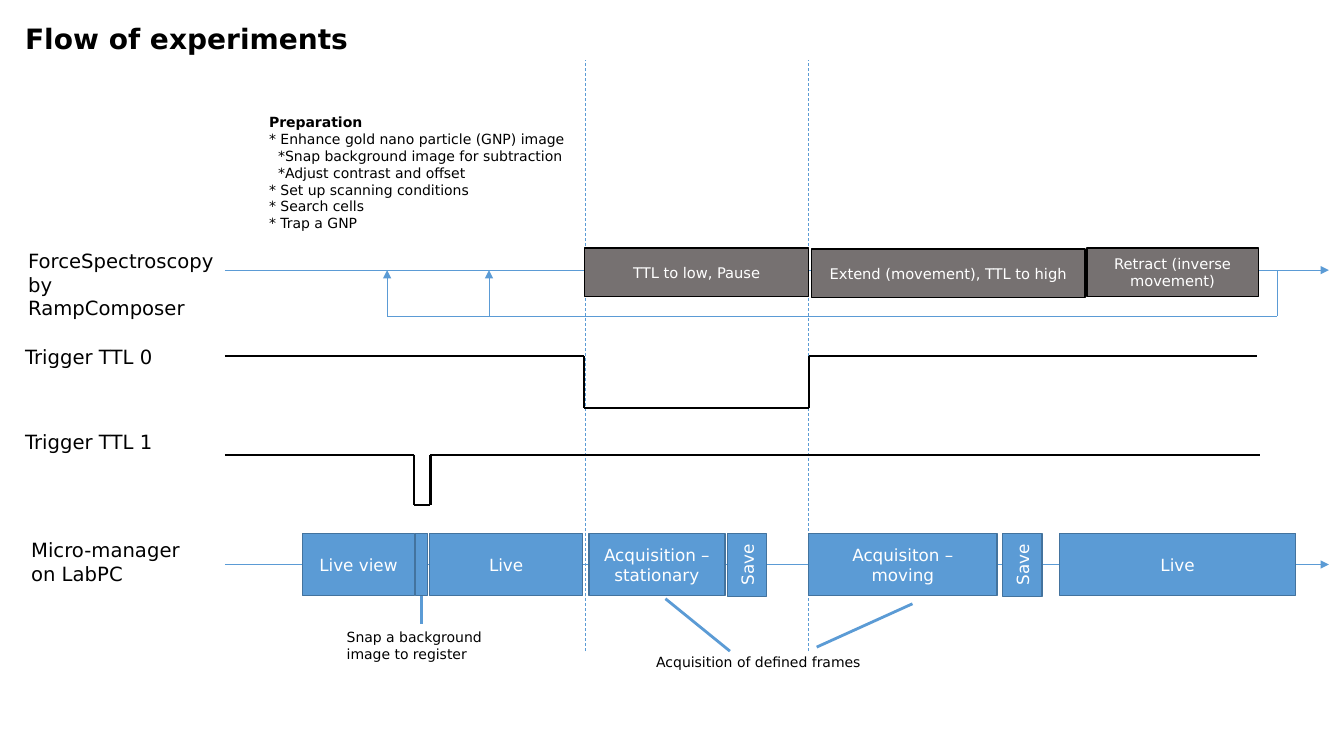
import itertools

import pptx
import pptx.dml.color
import pptx.enum.dml
import pptx.enum.shapes
import pptx.enum.text
import pptx.oxml.ns
import pptx.util
from lxml import etree
from pptx.util import Inches

COLORS = {
    "text": "000000",
    "box text": "FFFFFF",
    "blue": "5B9BD5",
    "blue edge": "43739E",
    "gray": "767171",
    "black": "000000",
}


class TimingSlide:
    font_name = "DejaVu Sans"

    def __init__(self, slide):
        self.shapes = slide.shapes

    def color(self, name):
        return pptx.dml.color.RGBColor.from_string(COLORS[name])

    def style_font(self, paragraph, size, color, bold=False):
        font = paragraph.font
        font.name, font.size, font.bold = self.font_name, pptx.util.Pt(size), bold
        font.color.rgb = self.color(color)

    def text(self, left, top, width, height, lines, size, wrap=False, bold_first=False):
        """Place one paragraph per line; a line given as (indent, text) is indented."""
        frame = self.shapes.add_textbox(*map(Inches, (left, top, width, height))).text_frame
        frame.word_wrap = wrap
        frame.auto_size = pptx.enum.text.MSO_AUTO_SIZE.SHAPE_TO_FIT_TEXT
        for index, line in enumerate(lines):
            indent, words = line if isinstance(line, tuple) else (0, line)
            paragraph = frame.paragraphs[0] if index == 0 else frame.add_paragraph()
            paragraph.text = words
            if indent:
                paragraph._p.get_or_add_pPr().set("marL", str(Inches(indent)))
            self.style_font(paragraph, size, "text", bold_first and index == 0)

    def box(self, left, top, width, height, label, size, fill, edge, rotation=0):
        box = self.shapes.add_shape(
            pptx.enum.shapes.MSO_SHAPE.RECTANGLE, *map(Inches, (left, top, width, height)))
        box.shadow.inherit = False
        box.rotation = rotation
        box.fill.solid()
        box.fill.fore_color.rgb = self.color(fill)
        box.line.color.rgb = self.color(edge)
        box.line.width = pptx.util.Pt(1)
        if label:
            frame = box.text_frame
            frame.word_wrap = True
            frame.vertical_anchor = pptx.enum.text.MSO_ANCHOR.MIDDLE
            paragraph = frame.paragraphs[0]
            paragraph.text = label
            paragraph.alignment = pptx.enum.text.PP_ALIGN.CENTER
            self.style_font(paragraph, size, "box text")
        return box

    def line(self, start, end, color="blue", width=0.5, dashed=False, arrow=False):
        line = self.shapes.add_connector(
            pptx.enum.shapes.MSO_CONNECTOR.STRAIGHT, *map(Inches, (*start, *end)))
        line.line.color.rgb = self.color(color)
        line.line.width = pptx.util.Pt(width)
        if dashed:
            line.line.dash_style = pptx.enum.dml.MSO_LINE.DASH
        qn = pptx.oxml.ns.qn
        if arrow:
            etree.SubElement(line.line._get_or_add_ln(), qn("a:tailEnd"), type="triangle")
        etree.SubElement(line._element.spPr, qn("a:effectLst"))
        return line

    def pulse(self, high, low, fall, rise, end):
        """Draw a trigger signal that drops from high to low between fall and rise."""
        corners = [(2.23, high), (fall, high), (fall, low), (rise, low), (rise, high), (end, high)]
        for start, stop in itertools.pairwise(corners):
            self.line(start, stop, "black", 1.5)


def main():
    deck = pptx.Presentation()
    deck.slide_width, deck.slide_height = Inches(13.33), Inches(7.5)
    timing = TimingSlide(deck.slides.add_slide(deck.slide_layouts[6]))

    pause_start, pause_end = 5.81, 8.02
    for moment in (pause_start, pause_end):
        timing.line((moment, 6.46), (moment, 0.6), dashed=True)
    force_axis, camera_axis = 2.68, 5.6
    for axis in (force_axis, camera_axis):
        timing.line((2.23, axis), (13.18, axis), arrow=True)

    timing.text(0.15, 0.16, 3.42, 0.44, ["Flow of experiments"], 20, bold_first=True)
    timing.text(2.57, 1.08, 3.19, 1.28, [
        "Preparation",
        "* Enhance gold nano particle (GNP) image",
        (0.09, "*Snap background image for subtraction"),
        (0.09, "*Adjust contrast and offset"),
        "* Set up scanning conditions",
        "* Search cells",
        "* Trap a GNP",
    ], 10, bold_first=True)

    row_labels = [
        (0.18, 2.42, 2.05, 0.57, ["ForceSpectroscopy", "by RampComposer"]),
        (0.15, 3.37, 1.49, 0.34, ["Trigger TTL 0"]),
        (0.15, 4.22, 1.49, 0.34, ["Trigger TTL 1"]),
        (0.21, 5.29, 1.69, 0.57, ["Micro-manager", "on LabPC"]),
    ]
    for label in row_labels:
        timing.text(*label, 14)

    timing.pulse(3.53, 4.05, 5.79, pause_end, 12.47)
    timing.pulse(4.51, 5.01, 4.11, 4.27, 12.5)

    force_steps = [
        (5.8, 2.46, 2.22, "TTL to low, Pause"),
        (8.05, 2.47, 2.71, "Extend (movement), TTL to high"),
        (10.78, 2.46, 1.7, "Retract (inverse movement)"),
    ]
    for left, top, width, label in force_steps:
        timing.box(left, top, width, 0.48, label, 10.5, "gray", "black")

    camera_steps = [
        (3, 1.11, "Live view"),
        (4.26, 1.52, "Live"),
        (5.84, 1.35, "Acquisition – stationary"),
        (8.02, 1.87, "Acquisiton – moving"),
        (10.51, 2.34, "Live"),
    ]
    for left, width, label in camera_steps:
        timing.box(left, 5.29, width, 0.62, label, 12, "blue", "blue edge")
    for left in (7.1, 9.83):
        timing.box(left, 5.41, 0.62, 0.39, "Save", 12, "blue", "blue edge", rotation=270)
    snap = timing.box(4.12, 5.29, 0.12, 0.62, "", 12, "blue", "blue edge")

    loop_level, loop_end = 3.14, 12.67
    loop_targets = (3.84, 4.85)
    timing.line((loop_end, force_axis), (loop_end, loop_level))
    timing.line((loop_targets[0], loop_level), (loop_end, loop_level))
    for target in loop_targets:
        timing.line((target, loop_level), (target, force_axis), arrow=True)

    timing.text(3.34, 6.19, 1.69, 0.44, ["Snap a background image to register"], 10, wrap=True)
    timing.text(6.41, 6.43, 2.89, 0.27, ["Acquisition of defined frames"], 10, wrap=True)
    snap_pointer = timing.line((4.18, 5.91), (4.18, 6.19), width=2)
    snap_pointer.begin_connect(snap, 2)
    timing.line((6.6, 5.94), (7.24, 6.46), width=2)
    timing.line((9.05, 5.99), (8.1, 6.42), width=2)

    deck.save("out.pptx")


if __name__ == "__main__":
    main()
